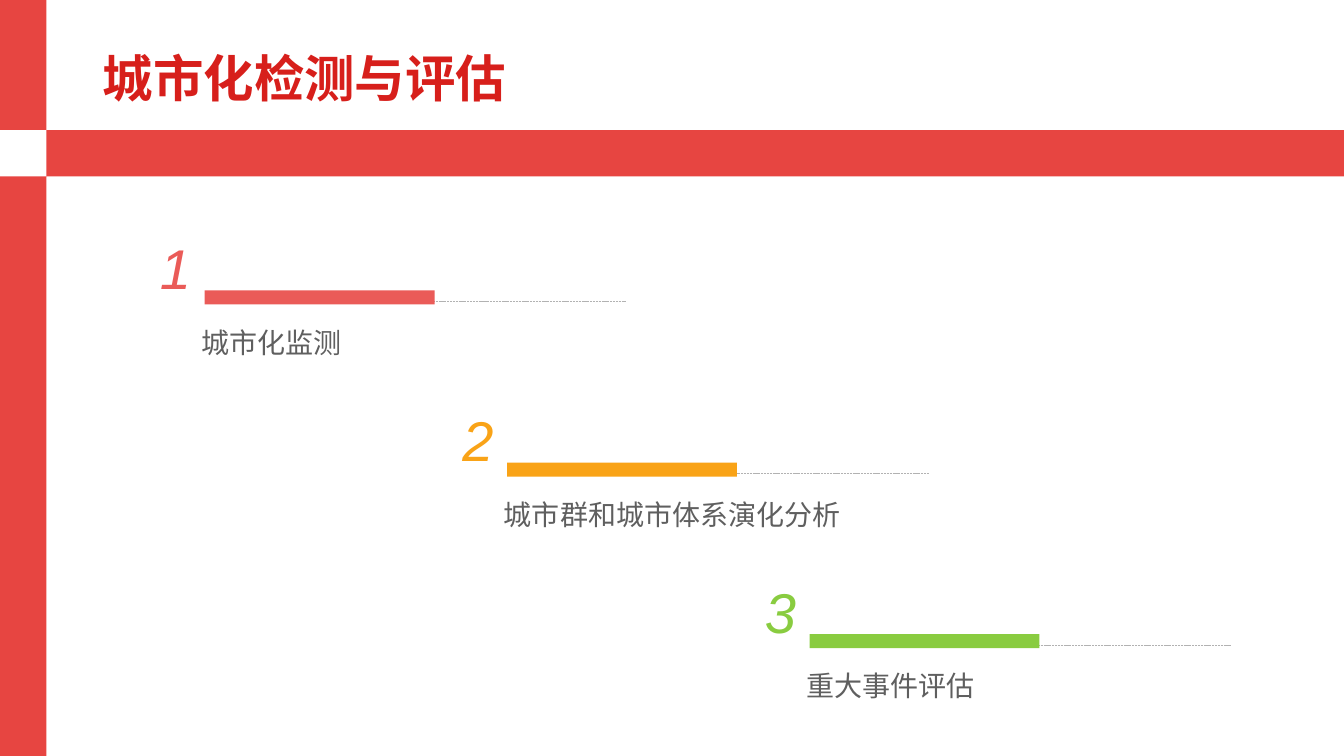
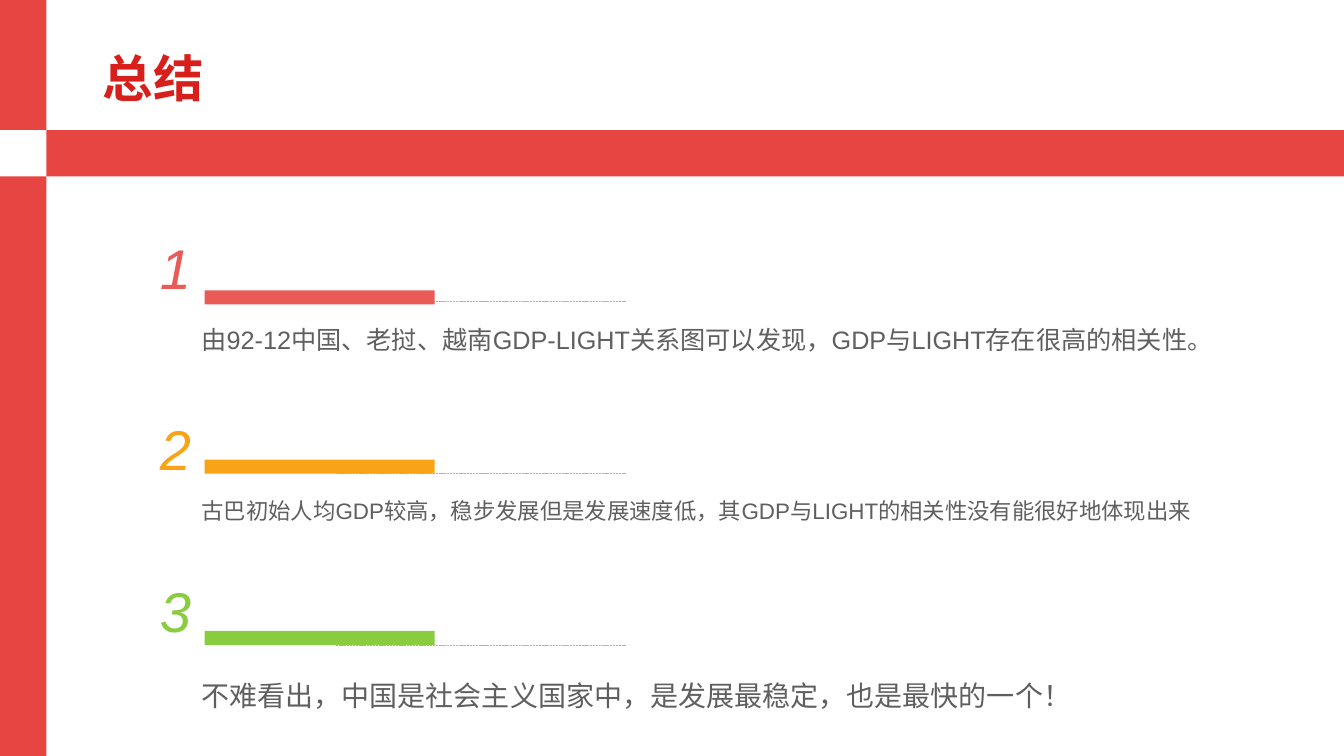
from lxml.etree import SubElement
from pptx import Presentation
from pptx.dml.color import RGBColor
from pptx.enum.dml import MSO_LINE
from pptx.enum.shapes import MSO_CONNECTOR, MSO_SHAPE
from pptx.enum.text import MSO_ANCHOR, MSO_AUTO_SIZE, PP_ALIGN
from pptx.oxml.ns import qn
from pptx.util import Inches, Pt

FONT = "Arial"
WHITE = RGBColor(0xFF, 0xFF, 0xFF)
BAND_RED = RGBColor(0xE7, 0x45, 0x41)
TITLE_RED = RGBColor(0xD7, 0x1F, 0x1B)
TEXT_GRAY = RGBColor(0x5F, 0x5F, 0x5F)
RULE_GRAY = RGBColor(0xB2, 0xB2, 0xB2)
CORAL = RGBColor(0xEA, 0x5B, 0x58)
ORANGE = RGBColor(0xF9, 0xA3, 0x17)
GREEN = RGBColor(0x89, 0xCC, 0x40)
ITEM_COLORS = (CORAL, ORANGE, GREEN)

SLIDE_WIDTH, SLIDE_HEIGHT = 13.33, 7.5
BAND, BAND_TOP = 0.46, 1.29
ITEM_LEFT = 1.28
ITEM_STEP = 3
RULE_TOPS = (2.99, 4.7, 6.4)


def write_text(shape, text, size, color, bold=False, italic=False,
               align=PP_ALIGN.LEFT, anchor=MSO_ANCHOR.TOP, spacing=1.2):
    frame = shape.text_frame
    frame.word_wrap = True
    frame.auto_size = MSO_AUTO_SIZE.NONE
    frame.vertical_anchor = anchor
    paragraph = frame.paragraphs[0]
    paragraph.alignment = align
    paragraph.line_spacing = spacing
    run = paragraph.add_run()
    run.text = text
    font = run.font
    font.name, font.size = FONT, Pt(size)
    font.bold, font.italic = bold, italic
    font.color.rgb = color


def add_text(shapes, text, left, top, width, height, **text_format):
    box = shapes.add_textbox(Inches(left), Inches(top), Inches(width), Inches(height))
    write_text(box, text, **text_format)


def add_block(shapes, left, top, width, height, color):
    block = shapes.add_shape(MSO_SHAPE.RECTANGLE, Inches(left), Inches(top),
                             Inches(width), Inches(height))
    block.shadow.inherit = False
    block.fill.solid()
    block.fill.fore_color.rgb = color
    block.line.fill.background()
    return block


def add_rule(shapes, left, top, width):
    rule = shapes.add_connector(MSO_CONNECTOR.STRAIGHT, Inches(left), Inches(top),
                                Inches(left + width), Inches(top))
    rule.line.color.rgb = RULE_GRAY
    rule.line.width = Pt(0.5)
    rule.line.dash_style = MSO_LINE.SQUARE_DOT
    SubElement(rule.element.spPr, qn("a:effectLst"))


def style_layout(layout, slide):
    """Place the title and move the bands, drawn on slide, behind the layout's placeholders."""
    title = layout.placeholders[0]
    title.left, title.top = Inches(0.92), Inches(0.35)
    title.width, title.height = Inches(11.5), Inches(0.91)
    bands = (
        (0, 0, BAND, SLIDE_HEIGHT, BAND_RED),
        (0, BAND_TOP, SLIDE_WIDTH, BAND, BAND_RED),
        (0, BAND_TOP, BAND, BAND, WHITE),
    )
    for index, band in enumerate(bands, start=2):
        layout.shapes.element.insert(index, add_block(slide.shapes, *band).element)


def add_item(slide, number, text, left, rule_top, size=20, text_width=4.77,
             number_rise=1.02, bar_rise=0.11, text_drop=0.12):
    """Add a numbered item; rises and drop are measured from its dashed rule."""
    color = ITEM_COLORS[number - 1]
    shapes = slide.shapes.add_group_shape().shapes
    add_rule(shapes, left + 2.05, rule_top, 2.88)
    add_block(shapes, left + 0.75, rule_top - bar_rise, 2.28, 0.14, color)
    add_text(shapes, text, left + 0.62, rule_top + text_drop, text_width, 0.66,
             size=size, color=TEXT_GRAY)
    add_text(shapes, str(number), left, rule_top - number_rise, 0.92, 1.16,
             size=40, color=color, italic=True, align=PP_ALIGN.CENTER,
             anchor=MSO_ANCHOR.MIDDLE, spacing=1.3)


def add_title(slide, text):
    write_text(slide.shapes.title, text, size=36, color=TITLE_RED, bold=True,
               anchor=MSO_ANCHOR.MIDDLE, spacing=0.9)


def fill_evaluation(slide):
    add_title(slide, "城市化检测与评估")
    topics = ("城市化监测", "城市群和城市体系演化分析", "重大事件评估")
    for index, (topic, rule_top) in enumerate(zip(topics, RULE_TOPS)):
        add_item(slide, index + 1, topic, ITEM_LEFT + index * ITEM_STEP, rule_top)


def fill_summary(slide):
    add_title(slide, "总结")
    findings = (
        ("由92-12中国、老挝、越南GDP-LIGHT关系图可以发现，GDP与LIGHT存在很高的相关性。",
         dict(size=18, text_width=11.19)),
        ("古巴初始人均GDP较高，稳步发展但是发展速度低，其GDP与LIGHT的相关性没有能很好地体现出来",
         dict(size=16, text_width=10.52, number_rise=0.93, bar_rise=0.14, text_drop=0.13)),
        ("不难看出，中国是社会主义国家中，是发展最稳定，也是最快的一个！",
         dict(text_width=10.52, number_rise=1.03, bar_rise=0.14, text_drop=0.22)),
    )
    for index, ((text, options), rule_top) in enumerate(zip(findings, RULE_TOPS)):
        add_item(slide, index + 1, text, ITEM_LEFT, rule_top, **options)


def main():
    presentation = Presentation()
    presentation.slide_width = Inches(SLIDE_WIDTH)
    presentation.slide_height = Inches(SLIDE_HEIGHT)
    layout = presentation.slide_layouts.get_by_name("Title Only")
    evaluation, summary = (presentation.slides.add_slide(layout) for _ in range(2))
    style_layout(layout, evaluation)
    fill_evaluation(evaluation)
    fill_summary(summary)
    presentation.save("out.pptx")


if __name__ == "__main__":
    main()
